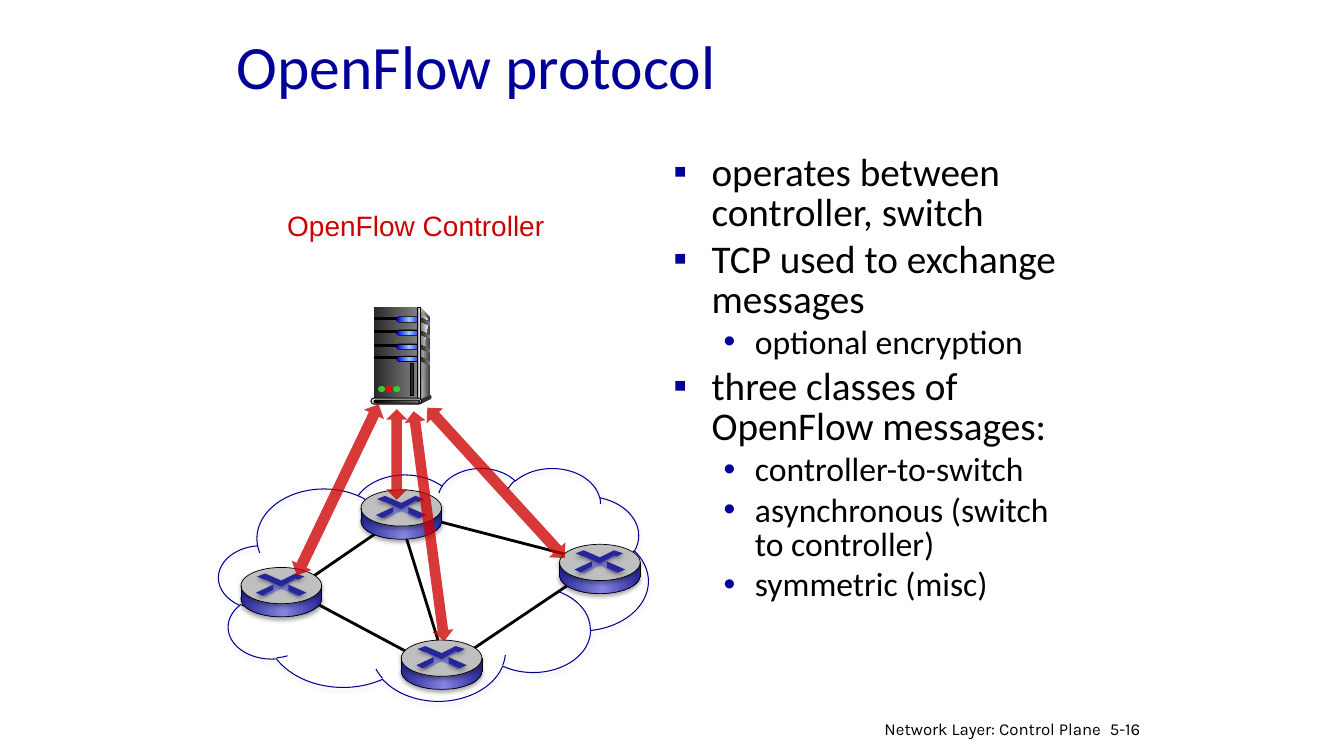
from lxml.etree import SubElement
from pptx import Presentation
from pptx.dml.color import RGBColor
from pptx.enum.shapes import MSO_CONNECTOR, MSO_SHAPE
from pptx.enum.text import MSO_ANCHOR, PP_ALIGN
from pptx.oxml.ns import qn
from pptx.util import Inches, Pt

NAVY = RGBColor(0x00, 0x00, 0x99)
CLOUD_BLUE = RGBColor(0x00, 0x00, 0x90)
CLOUD_SHADOW = RGBColor(0xA5, 0xA5, 0xE9)
BLACK = RGBColor(0x00, 0x00, 0x00)
RED = RGBColor(0xCC, 0x00, 0x00)
LED_RED = RGBColor(0xFF, 0x00, 0x00)
LED_GREEN = RGBColor(0x33, 0xCC, 0x33)
CHARCOAL = RGBColor(0x29, 0x29, 0x29)
DARK_GRAY = RGBColor(0x33, 0x33, 0x33)
GRAY = RGBColor(0x80, 0x80, 0x80)
SILVER = RGBColor(0xBF, 0xBF, 0xBF)
LIGHT_GRAY = RGBColor(0xDD, 0xDD, 0xDD)
PALE_GRAY = RGBColor(0xF8, 0xF8, 0xF8)
BLUE = RGBColor(0x00, 0x00, 0xFF)
SKY = RGBColor(0x99, 0xCC, 0xFF)
ROUTER_BLUE = RGBColor(0x26, 0x26, 0x99)
ROUTER_LIGHT = RGBColor(0x85, 0x85, 0xE0)

METAL = [(0, CHARCOAL), (100, GRAY)]
SIDE = [(0, LIGHT_GRAY), (100, DARK_GRAY)]
SHEEN = [(0, GRAY), (100, PALE_GRAY)]
EDGE = [(0, DARK_GRAY), (50, LIGHT_GRAY), (100, DARK_GRAY)]
BASE = [(0, BLACK), (100, GRAY)]
GLOW = [(0, BLUE), (50, SKY), (100, BLUE)]
ROUTER_SIDE = [(0, ROUTER_BLUE), (53, ROUTER_LIGHT), (100, ROUTER_BLUE)]

LEVELS = [
    {"bullet": "▪", "left": 0.38, "hang": 0.38, "size": 28, "before": 5},
    {"bullet": "•", "left": 0.81, "hang": 0.31, "size": 24, "before": 4.3},
]
POINTS = [
    (0, "operates between controller, switch"),
    (0, "TCP used to exchange messages"),
    (1, "optional encryption"),
    (0, "three classes of OpenFlow messages:"),
    (1, "controller-to-switch"),
    (1, "asynchronous (switch to controller)"),
    (1, "symmetric (misc)"),
]
LINKS = [
    (2.9, 5.86, 4.21, 4.96), (2.9, 5.86, 4.21, 6.56), (4, 5.24, 4.35, 6.37),
    (4.3, 5.16, 5.73, 5.53), (4.51, 6.56, 5.73, 5.74),
]
ROUTERS = [(3.98, 6.35), (5.55, 5.4), (2.39, 5.63), (3.58, 4.86)]
ROUTER_MARKS = [
    (ROUTER_LIGHT, [(0.4, 0.21), (0.24, 0.29), (0.2, 0.27), (0.32, 0.22), (0.32, 0.17),
                    (0.23, 0.12), (0.26, 0.11), (0.4, 0.17), (0.54, 0.11), (0.57, 0.12),
                    (0.47, 0.16), (0.49, 0.23), (0.59, 0.27), (0.56, 0.29)]),
    (ROUTER_BLUE, [(0.16, 0.09), (0.24, 0.06), (0.4, 0.13), (0.54, 0.06), (0.63, 0.09),
                   (0.57, 0.12), (0.54, 0.11), (0.4, 0.19), (0.25, 0.12), (0.23, 0.12)]),
    (ROUTER_BLUE, [(0.47, 0.17), (0.65, 0.25), (0.58, 0.28), (0.47, 0.23)]),
    (ROUTER_BLUE, [(0.32, 0.17), (0.32, 0.22), (0.21, 0.28), (0.15, 0.25)]),
]
ARROWS = [
    (4.15, 4.07, 0.21, 2.3, 352.4), (3.83, 4.06, 0.21, 0.9, 0),
    (4.81, 3.78, 0.22, 2.02, 317.6), (3.24, 3.92, 0.22, 1.88, 25.6),
]


def set_format(obj, values):
    """Set each named attribute on an object."""
    for name, value in values.items():
        setattr(obj, name, value)


def add_shadow(sp, color):
    """Give a shape a soft shadow below it."""
    effects = sp._element.spPr.find(qn("a:effectLst"))
    shadow = SubElement(effects, qn("a:outerShdw"), blurRad=str(Pt(3.1)),
                        dist=str(Pt(1.8)), dir="5400000", rotWithShape="0")
    clr = SubElement(shadow, qn("a:srgbClr"), val=str(color))
    SubElement(clr, qn("a:alpha"), val="35000")


def style(sp, fill=None, line=None, width=0.75, shadow=None):
    """Apply a solid or gradient fill, an outline and a shadow."""
    sp.shadow.inherit = False
    if fill is None:
        sp.fill.background()
    elif isinstance(fill, RGBColor):
        sp.fill.solid()
        sp.fill.fore_color.rgb = fill
    else:
        sp.fill.gradient()
        sp.fill.gradient_angle = 0
        stops = sp._element.spPr.find(".//" + qn("a:gsLst"))
        for stop in list(stops):
            stops.remove(stop)
        for pos, color in fill:
            stop = SubElement(stops, qn("a:gs"), pos=str(pos * 1000))
            SubElement(stop, qn("a:srgbClr"), val=str(color))
    if line is None:
        sp.line.fill.background()
    else:
        sp.line.color.rgb = line
        sp.line.width = Pt(width)
    if shadow is not None:
        add_shadow(sp, shadow)


def add_preset(shapes, kind, box, fill=None, **look):
    """Add a preset shape at a box given in inches."""
    sp = shapes.add_shape(kind, *map(Inches, box))
    if kind == MSO_SHAPE.ROUNDED_RECTANGLE:
        sp.adjustments[0] = 0.5
    style(sp, fill, **look)
    return sp


def add_outline(shapes, points, fill, **look):
    """Add a closed polygon through points given in inches."""
    start, *rest = [(Inches(x), Inches(y)) for x, y in points]
    builder = shapes.build_freeform(*start)
    builder.add_line_segments(rest, close=True)
    style(builder.convert_to_shape(), fill, **look)


def add_line(shapes, ends, width):
    """Add a straight black line."""
    line = shapes.add_connector(MSO_CONNECTOR.STRAIGHT, *map(Inches, ends))
    line.line.color.rgb = BLACK
    line.line.width = Pt(width)
    SubElement(line._element.spPr, qn("a:effectLst"))


def add_text(s, box, text, font, frame=None, align=PP_ALIGN.LEFT):
    """Add a text box with one paragraph."""
    tf = s.shapes.add_textbox(*map(Inches, box)).text_frame
    set_format(tf, {"word_wrap": True, **(frame or {})})
    p = tf.paragraphs[0]
    p.alignment = align
    r = p.add_run()
    r.text = text
    r.font.color.rgb = font["color"]
    set_format(r.font, {"name": font["name"], "size": Pt(font["size"])})


def add_bullets(s, box):
    """Add the two-level bullet list."""
    tf = s.shapes.add_textbox(*map(Inches, box)).text_frame
    tf.word_wrap = True
    for i, (depth, text) in enumerate(POINTS):
        level = LEVELS[depth]
        p = tf.paragraphs[0] if i == 0 else tf.add_paragraph()
        set_format(p, {"level": depth, "line_spacing": 0.85,
                       "space_before": Pt(level["before"] if i else 0)})
        pPr = p._p.get_or_add_pPr()
        pPr.set("marL", str(Inches(level["left"])))
        pPr.set("indent", str(-Inches(level["hang"])))
        clr = SubElement(pPr, qn("a:buClr"))
        SubElement(clr, qn("a:srgbClr"), val=str(NAVY))
        SubElement(pPr, qn("a:buFont"), typeface="Arial")
        SubElement(pPr, qn("a:buChar"), char=level["bullet"])
        r = p.add_run()
        r.text = text
        r.font.color.rgb = BLACK
        set_format(r.font, {"name": "Calibri", "size": Pt(level["size"])})


def add_server(s):
    """Draw the controller as a tower server."""
    rect, pill, oval = MSO_SHAPE.RECTANGLE, MSO_SHAPE.ROUNDED_RECTANGLE, MSO_SHAPE.OVAL
    shapes = s.shapes.add_group_shape().shapes
    add_outline(shapes, [(4.17, 3.05), (4.27, 3.16), (4.27, 3.93), (4.15, 3.97)], SIDE)
    add_preset(shapes, rect, (3.71, 3.05, 0.44, 0.92), METAL)
    add_outline(shapes, [(4.18, 3.1), (4.25, 3.18), (4.21, 3.4), (4.19, 3.65), (4.18, 3.94)], SHEEN)
    for y in (3.15, 3.28, 3.42, 3.54):
        add_preset(shapes, rect, (3.71, y, 0.25, 0.02), BLACK, line=BLACK)
        add_preset(shapes, pill, (3.93, y - 0.01, 0.24, 0.06), BLACK)
        add_preset(shapes, pill, (3.94, y, 0.24, 0.04), GLOW)
        vent = [(4.17, y), (4.27, y + 0.05), (4.27, y + 0.08), (4.17, y + 0.04)]
        add_outline(shapes, vent, METAL)
    add_preset(shapes, rect, (4.14, 3.05, 0.03, 0.92), EDGE, line=BLACK)
    add_preset(shapes, oval, (4.26, 3.92, 0.02, 0.04), DARK_GRAY)
    add_outline(shapes, [(4.17, 3.96), (4.17, 4.01), (4.27, 3.96), (4.27, 3.92)], DARK_GRAY)
    add_preset(shapes, pill, (3.68, 3.95, 0.5, 0.06), LIGHT_GRAY, line=BLACK)
    add_preset(shapes, pill, (3.71, 3.97, 0.45, 0.03), BASE, line=BLACK)
    for x, color in ((3.75, LED_GREEN), (3.82, LED_RED), (3.9, LED_GREEN)):
        add_preset(shapes, oval, (x, 3.83, 0.07, 0.06), color)
    add_preset(shapes, rect, (4.07, 3.61, 0.03, 0.31), CHARCOAL, line=BLACK)


def add_router(s, x, y):
    """Draw a router whose top disc starts at x, y."""
    shapes = s.shapes.add_group_shape().shapes
    rim = {"line": BLACK, "width": 0.5, "shadow": BLACK}
    add_preset(shapes, MSO_SHAPE.OVAL, (x, y + 0.13, 0.8, 0.36), ROUTER_SIDE, **rim)
    add_preset(shapes, MSO_SHAPE.RECTANGLE, (x, y + 0.18, 0.8, 0.13), ROUTER_SIDE)
    add_preset(shapes, MSO_SHAPE.OVAL, (x, y, 0.8, 0.36), SILVER, **rim)
    for color, points in ROUTER_MARKS:
        add_outline(shapes, [(x + dx, y + dy) for dx, dy in points], color,
                    shadow=BLACK if color == ROUTER_BLUE else None)
    for edge in (x, x + 0.8):
        add_line(shapes, (edge, y + 0.32, edge, y + 0.18), 0.5)


def add_arrow(s, x, y, w, h, angle):
    """Add a translucent two-way arrow."""
    sp = add_preset(s.shapes, MSO_SHAPE.UP_DOWN_ARROW, (x, y, w, h), RED)
    sp.rotation = angle
    clr = sp._element.spPr.find(qn("a:solidFill")).find(qn("a:srgbClr"))
    SubElement(clr, qn("a:alpha"), val="78000")


def main():
    """Build the slide and save it."""
    prs = Presentation()
    set_format(prs, {"slide_width": Inches(13.33), "slide_height": Inches(7.5)})
    s = prs.slides.add_slide(prs.slide_layouts[6])
    footer = {"name": "Karla", "size": 12, "color": BLACK}
    add_text(s, (2.25, 0.02, 8.5, 1.25), "OpenFlow protocol",
             {"name": "Calibri", "size": 44, "color": NAVY},
             {"vertical_anchor": MSO_ANCHOR.MIDDLE})
    add_bullets(s, (6.58, 1.48, 4.17, 5.08))
    add_preset(s.shapes, MSO_SHAPE.CLOUD, (2.17, 4.64, 4.26, 2.31),
               line=CLOUD_BLUE, shadow=CLOUD_SHADOW)
    for ends in LINKS:
        add_line(s.shapes, ends, 2)
    add_server(s)
    add_text(s, (2.75, 2.02, 2.78, 0.44), "OpenFlow Controller",
             {"name": "Arial", "size": 20, "color": RED}, {"word_wrap": False})
    for x, y in ROUTERS:
        add_router(s, x, y)
    for arrow in ARROWS:
        add_arrow(s, *arrow)
    add_text(s, (10.91, 7.08, 0.6, 0.3), "5-16", footer)
    add_text(s, (8.64, 7.08, 2.38, 0.26), "Network Layer: Control Plane", footer,
             align=PP_ALIGN.RIGHT)
    prs.save("out.pptx")


if __name__ == "__main__":
    main()
